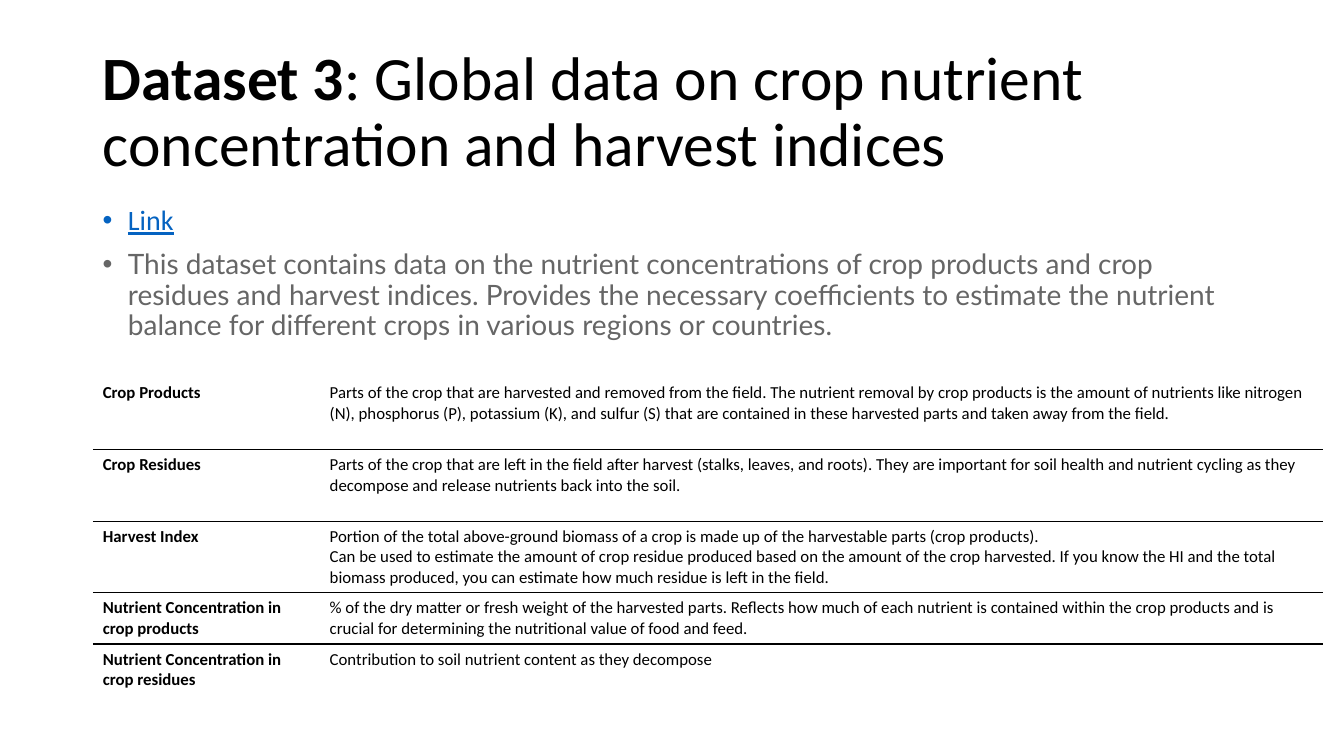
from dataclasses import dataclass

from lxml.etree import SubElement
from pptx import Presentation
from pptx.dml.color import RGBColor
from pptx.enum.text import MSO_ANCHOR as Anchor
from pptx.oxml import parse_xml
from pptx.oxml.ns import nsdecls, qn
from pptx.util import Inches, Pt

TITLE = [
    ("Dataset 3", True),
    (": Global data on crop nutrient concentration and harvest indices", False),
]
LINK = "Link"
SUMMARY = (
    "This dataset contains data on the nutrient concentrations of crop products and crop "
    "residues and harvest indices. Provides the necessary coefficients to estimate the "
    "nutrient balance for different crops in various regions or countries."
)
TERMS = [
    ("Crop Products", [
        "Parts of the crop that are harvested and removed from the field. The nutrient removal "
        "by crop products is the amount of nutrients like nitrogen (N), phosphorus (P), "
        "potassium (K), and sulfur (S) that are contained in these harvested parts and taken "
        "away from the field.",
    ]),
    ("Crop Residues", [
        "Parts of the crop that are left in the field after harvest (stalks, leaves, and roots). "
        "They are important for soil health and nutrient cycling as they decompose and release "
        "nutrients back into the soil.",
    ]),
    ("Harvest Index", [
        "Portion of the total above-ground biomass of a crop is made up of the harvestable "
        "parts (crop products).",
        "Can be used to estimate the amount of crop residue produced based on the amount of the "
        "crop harvested. If you know the HI and the total biomass produced, you can estimate "
        "how much residue is left in the field.",
    ]),
    ("Nutrient Concentration in crop products", [
        "% of the dry matter or fresh weight of the harvested parts. Reflects how much of each "
        "nutrient is contained within the crop products and is crucial for determining the "
        "nutritional value of food and feed.",
    ]),
    ("Nutrient Concentration in crop residues", [
        "Contribution to soil nutrient content as they decompose",
    ]),
]


@dataclass(frozen=True)
class Theme:
    ink: str = "000000"
    link: str = "0563C1"
    muted: str = "666666"
    font: str = "Calibri"
    summary_font: str = "Lato"
    title: int = 44
    body: int = 20
    cell: int = 12
    rule: int = 1


THEME = Theme()
WIDTH, HEIGHT = 13.33, 7.5
LEFT = 0.92
TEXT_WIDTH = WIDTH - 2 * LEFT
TITLE_TOP, TITLE_HEIGHT = 0.4, 1.45
BODY_TOP, BODY_HEIGHT = 2, 1.6
TABLE_TOP = 3.75
COLUMNS = (2.25, 9.95)
ROWS = (0.71, 0.71, 0.71, 0.51, 0.66)
INDENT = Inches(0.25)
PLAIN_STYLE = "{2D5ABB26-0587-4C30-8999-92F81FD0307C}"


def add_span(para, text, size, color=THEME.ink, font=THEME.font, bold=False, underline=False):
    span = para.add_run()
    span.text = text
    span.font.name = font
    span.font.size = Pt(size)
    span.font.bold = bold
    span.font.underline = underline
    span.font.color.rgb = RGBColor.from_string(color)


def add_frame(page, top, height, anchor):
    box = page.shapes.add_textbox(
        Inches(LEFT), Inches(top), Inches(TEXT_WIDTH), Inches(height))
    frame = box.text_frame
    frame.word_wrap = True
    frame.vertical_anchor = anchor
    return frame


def next_para(frame, index):
    return frame.add_paragraph() if index else frame.paragraphs[0]


def add_title(page):
    para = add_frame(page, TITLE_TOP, TITLE_HEIGHT, Anchor.MIDDLE).paragraphs[0]
    para.line_spacing = 0.9
    for text, bold in TITLE:
        add_span(para, text, THEME.title, bold=bold)


def add_bullets(page):
    frame = add_frame(page, BODY_TOP, BODY_HEIGHT, Anchor.TOP)
    bullets = [
        (LINK, THEME.link, THEME.font, True),
        (SUMMARY, THEME.muted, THEME.summary_font, False),
    ]
    for index, (text, color, font, underline) in enumerate(bullets):
        para = next_para(frame, index)
        para.line_spacing = 0.9
        para.space_before = Pt(10)
        layout = para._p.get_or_add_pPr()
        layout.set("marL", str(INDENT))
        layout.set("indent", str(-INDENT))
        SubElement(layout, qn("a:buFont")).set("typeface", "Arial")
        SubElement(layout, qn("a:buChar")).set("char", "•")
        add_span(para, text, THEME.body, color, font, underline=underline)


def rule_below(cell):
    line = parse_xml(
        f'<a:lnB {nsdecls("a")} w="{Pt(THEME.rule)}"><a:solidFill>'
        f'<a:srgbClr val="{THEME.ink}"/></a:solidFill></a:lnB>')
    cell._tc.get_or_add_tcPr().insert(0, line)


def add_terms(page):
    table = page.shapes.add_table(
        len(ROWS), len(COLUMNS), Inches(LEFT), Inches(TABLE_TOP),
        Inches(sum(COLUMNS)), Inches(sum(ROWS))).table
    table.first_row = table.horz_banding = False
    table._tbl.tblPr.find(qn("a:tableStyleId")).text = PLAIN_STYLE
    for column, width in zip(table.columns, COLUMNS):
        column.width = Inches(width)
    for row, height, (term, meaning) in zip(table.rows, ROWS, TERMS):
        row.height = Inches(height)
        for cell, lines, bold in zip(row.cells, ([term], meaning), (True, False)):
            cell.fill.background()
            if term != TERMS[-1][0]:
                rule_below(cell)
            for index, text in enumerate(lines):
                add_span(next_para(cell.text_frame, index), text, THEME.cell, bold=bold)


def main():
    deck = Presentation()
    deck.slide_width, deck.slide_height = Inches(WIDTH), Inches(HEIGHT)
    page = deck.slides.add_slide(deck.slide_layouts[6])
    add_title(page)
    add_bullets(page)
    add_terms(page)
    deck.save("out.pptx")


if __name__ == "__main__":
    main()
